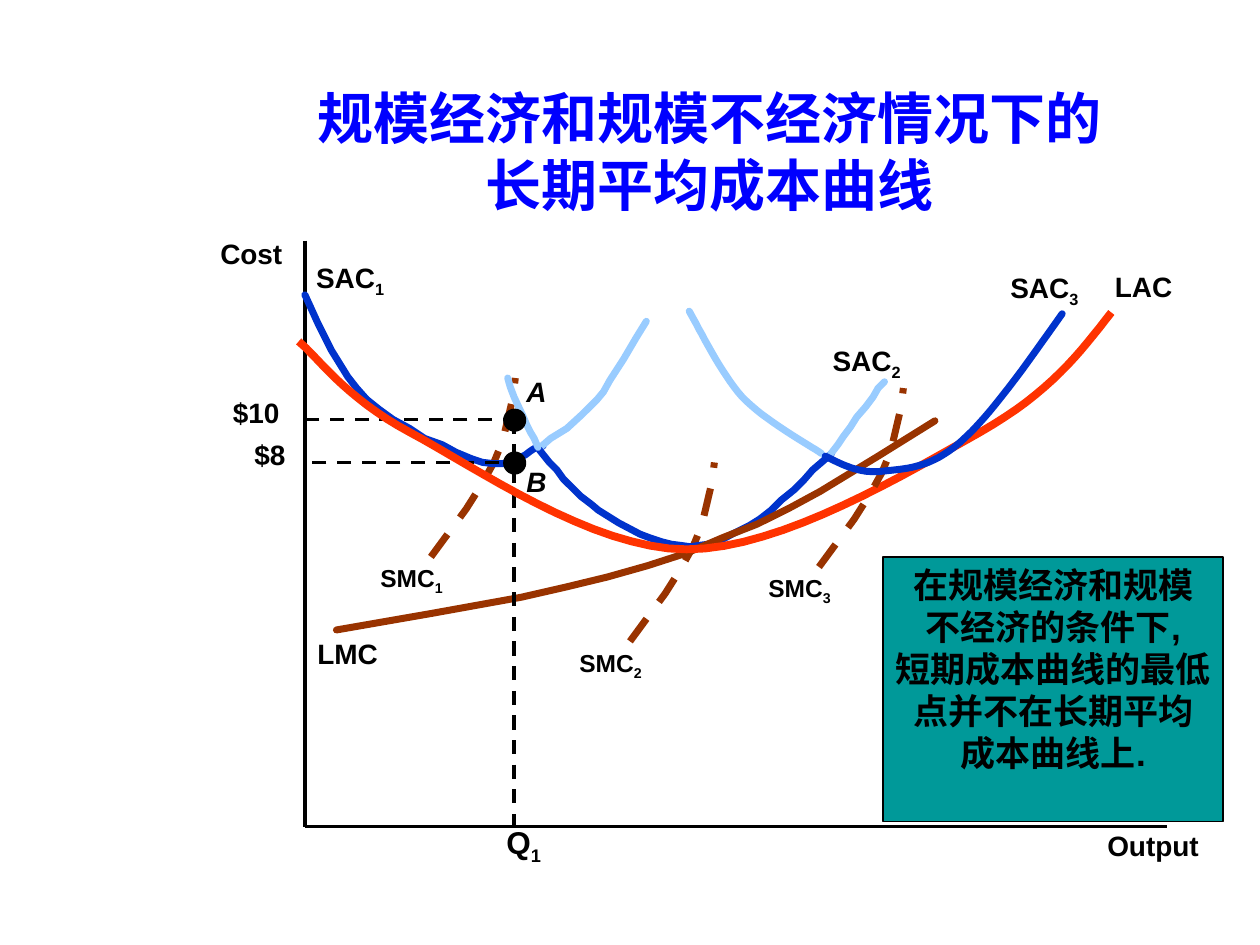
from lxml import etree
from pptx import Presentation
from pptx.dml.color import RGBColor
from pptx.enum.dml import MSO_LINE
from pptx.enum.shapes import MSO_CONNECTOR as Connector, MSO_SHAPE as Shape
from pptx.enum.text import MSO_ANCHOR as Anchor, MSO_AUTO_SIZE as AutoSize, PP_ALIGN as Align
from pptx.oxml.ns import qn
from pptx.util import Inches, Pt

COLORS = {
    "title": "0000FF", "ink": "000000", "callout": "009999", "marginal": "993300",
    "envelope": "0033CC", "inefficient": "99CCFF", "long_run": "FF3300",
}
# The slide is a grid of 1000 columns by 750 rows
CELL = Inches(10) // 1000
FINE = 10  # curve points are kept to a tenth of a cell
ORIGIN_X, BASE_Y = 242, 656
Q1_X, A_Y, B_Y = 408, 333, 367
LABEL_SLACK = 4  # spare columns that keep each label on one line

# One short-run marginal cost curve, measured from its lower end
SMC = [(0, 0), (14, -19), (28, -38), (40, -57), (50, -75), (57, -92),
       (61, -109), (65, -126), (67, -142)]
SAC1_LOW = [(242, 234), (252, 256), (263, 278), (276, 299), (283, 308), (291, 317),
            (301, 325), (312, 333), (325, 340), (337, 348), (351, 353), (362, 359),
            (374, 364), (383, 367), (392, 368), (399, 368), (406, 366), (411, 364),
            (417, 361), (421, 358), (424, 356), (431, 354)]
SAC1_HIGH = [(430, 354), (437, 348), (450, 340), (462, 329), (474, 317), (479, 311),
             (484, 302), (495, 285), (505, 268), (513, 255)]
SAC2_LOW = [(428, 357), (436, 367), (442, 373), (447, 380), (461, 394), (469, 400),
            (475, 405), (491, 415), (508, 424), (516, 427), (525, 430), (533, 432),
            (541, 433), (548, 434), (554, 433), (562, 432), (568, 431), (581, 424),
            (595, 417), (603, 412), (612, 405), (620, 397), (630, 389), (638, 381),
            (645, 373), (652, 367), (660, 360)]
SAC2_RIGHT = [(658, 362), (665, 353), (669, 347), (675, 339), (680, 331), (687, 323),
              (693, 315), (697, 308), (702, 303)]
SAC2_LEFT = [(427, 355), (424, 348), (421, 343), (418, 337), (415, 330), (408, 315),
             (405, 307), (403, 300)]
LMC = [(267, 500), (342, 487), (414, 474), (449, 466), (482, 458), (514, 449), (545, 439),
       (573, 427), (601, 416), (627, 403), (651, 390), (697, 362), (742, 334)]
# Bezier curves: a start, then two handles and an end for each piece
LAC = [(237, 271), (252, 283), (273, 315), (325, 343), (376, 370), (470, 436), (545, 436),
       (621, 436), (722, 374), (778, 343), (834, 311), (857, 280), (882, 248)]
SAC3_HIGH = [(652, 360), (642, 353), (607, 334), (589, 315), (572, 296), (555, 261), (547, 247)]
SAC3_LOW = [(843, 249), (814, 290), (786, 330), (762, 351), (738, 372), (718, 372),
            (700, 374), (682, 376), (669, 369), (655, 362)]


def color(name):
    return RGBColor.from_string(COLORS[name])


def cells(*values):
    return [value * CELL for value in values]


def style_line(line, name, width, dashed=False, rounded=False):
    line.color.rgb = color(name)
    line.width = Pt(width)
    if dashed:
        line.dash_style = MSO_LINE.DASH
    if rounded:
        outline = line._get_or_add_ln()
        outline.set("cap", "rnd")
        etree.SubElement(outline, qn("a:round"))


def add_rule(slide, start, end, dashed=False):
    rule = slide.shapes.add_connector(Connector.STRAIGHT, *cells(*start, *end))
    style_line(rule.line, "ink", 2, dashed)
    etree.SubElement(rule._element.spPr, qn("a:effectLst"))


def sample_bezier(points, steps=16):
    samples = [points[0]]
    for first in range(0, len(points) - 1, 3):
        piece = points[first:first + 4]
        for step in range(1, steps + 1):
            t = step / steps
            weights = ((1 - t) ** 3, 3 * t * (1 - t) ** 2, 3 * t * t * (1 - t), t ** 3)
            samples.append(tuple(sum(w * point[axis] for w, point in zip(weights, piece))
                                 for axis in (0, 1)))
    return samples


def add_curve(slide, points, name, width=4, dashed=False, rounded=True):
    start, *rest = [(x * FINE, y * FINE) for x, y in points]
    builder = slide.shapes.build_freeform(*start, scale=CELL / FINE)
    builder.add_line_segments(rest, close=False)
    curve = builder.convert_to_shape()
    curve.shadow.inherit = False
    curve.fill.background()
    style_line(curve.line, name, width, dashed, rounded)


def add_run(paragraph, text, size, name="ink", italic=False, subscript=False):
    run = paragraph.add_run()
    run.text = text
    font = run.font
    font.name, font.size, font.bold = "Arial", Pt(size), True
    font.color.rgb = color(name)
    if italic:
        font.italic = True
    if subscript:
        font._element.set("baseline", "-25000")


def add_label(slide, box, text, subscript="", size=16, italic=False, align=Align.LEFT):
    left, top, width, height = box
    if align == Align.RIGHT:
        left -= LABEL_SLACK
    frame = slide.shapes.add_textbox(*cells(left, top, width + LABEL_SLACK, height)).text_frame
    frame.word_wrap = False
    frame.auto_size = AutoSize.SHAPE_TO_FIT_TEXT
    paragraph = frame.paragraphs[0]
    paragraph.alignment = align
    add_run(paragraph, text, size, italic=italic)
    if subscript:
        add_run(paragraph, subscript, size, subscript=True)


def add_solid(slide, kind, box, name):
    shape = slide.shapes.add_shape(kind, *cells(*box))
    shape.shadow.inherit = False
    shape.fill.solid()
    shape.fill.fore_color.rgb = color(name)
    style_line(shape.line, "ink", 1)
    return shape


def add_title(slide, lines):
    frame = slide.shapes.add_textbox(*cells(127, 52, 873, 126)).text_frame
    frame.word_wrap = True
    frame.vertical_anchor = Anchor.BOTTOM
    paragraph = frame.paragraphs[0]
    paragraph.alignment = Align.CENTER
    for index, line in enumerate(lines):
        if index:
            paragraph.add_line_break()
        add_run(paragraph, line, 32, "title")


def add_callout(slide, lines):
    frame = add_solid(slide, Shape.RECTANGLE, (701, 442, 270, 210), "callout").text_frame
    frame.word_wrap = False
    frame.vertical_anchor = Anchor.TOP
    for index, line in enumerate(lines):
        paragraph = frame.add_paragraph() if index else frame.paragraphs[0]
        paragraph.alignment = Align.CENTER
        add_run(paragraph, line, 20)


def add_marginal(slide, number, x, y):
    add_curve(slide, [(x + dx, y + dy) for dx, dy in SMC], "marginal", dashed=True, rounded=False)
    add_label(slide, (x - 50, y, 69, 36), "SMC", number, size=14)


def main():
    presentation = Presentation()
    presentation.slide_width, presentation.slide_height = cells(1000, 750)
    slide = presentation.slides.add_slide(presentation.slide_layouts[6])
    add_title(slide, ["规模经济和规模不经济情况下的", "长期平均成本曲线"])

    # Axes
    add_rule(slide, (ORIGIN_X, 191), (ORIGIN_X, BASE_Y))
    add_rule(slide, (ORIGIN_X, BASE_Y), (926, BASE_Y))
    add_label(slide, (869, 653, 92, 36), "Output")
    add_label(slide, (165, 183, 69, 63), "Cost", align=Align.RIGHT)

    # Small and medium plants, then long-run marginal cost
    add_marginal(slide, "1", 342, 442)
    add_curve(slide, SAC1_LOW, "envelope")
    add_curve(slide, SAC1_HIGH, "inefficient")
    add_marginal(slide, "2", 500, 509)
    add_curve(slide, SAC2_LOW, "envelope")
    add_curve(slide, SAC2_RIGHT, "inefficient")
    add_curve(slide, SAC2_LEFT, "inefficient")
    add_curve(slide, LMC, "marginal")
    add_label(slide, (242, 500, 74, 36), "LMC")
    for number, x, y in (("1", 241, 202), ("2", 651, 268), ("3", 792, 210)):
        add_label(slide, (x, y, 74, 40), "SAC", number)

    add_callout(slide, ["在规模经济和规模", "不经济的条件下,", "短期成本曲线的最低",
                        "点并不在长期平均", "成本曲线上."])

    # Costs of producing Q1
    add_rule(slide, (Q1_X, A_Y), (Q1_X, BASE_Y), dashed=True)
    for y, right in ((A_Y, 410), (B_Y, 396)):
        add_rule(slide, (right, y), (ORIGIN_X - 1, y), dashed=True)
        add_solid(slide, Shape.OVAL, (Q1_X - 8, y - 8, 17, 17), "ink")
    add_label(slide, (392, 648, 47, 44), "Q", "1", size=18)
    add_label(slide, (175, 309, 57, 36), "$10")
    add_label(slide, (192, 342, 44, 36), "$8")
    add_label(slide, (Q1_X, 292, 36, 36), "A", italic=True)
    add_label(slide, (Q1_X, 364, 36, 36), "B", italic=True)

    # Long-run average cost and the large plant
    add_label(slide, (875, 209, 72, 36), "LAC")
    add_curve(slide, sample_bezier(LAC), "long_run", width=4.5, rounded=False)
    add_marginal(slide, "3", 650, 450)
    add_curve(slide, sample_bezier(SAC3_HIGH), "inefficient")
    add_curve(slide, sample_bezier(SAC3_LOW), "envelope")

    presentation.save("out.pptx")


if __name__ == "__main__":
    main()
